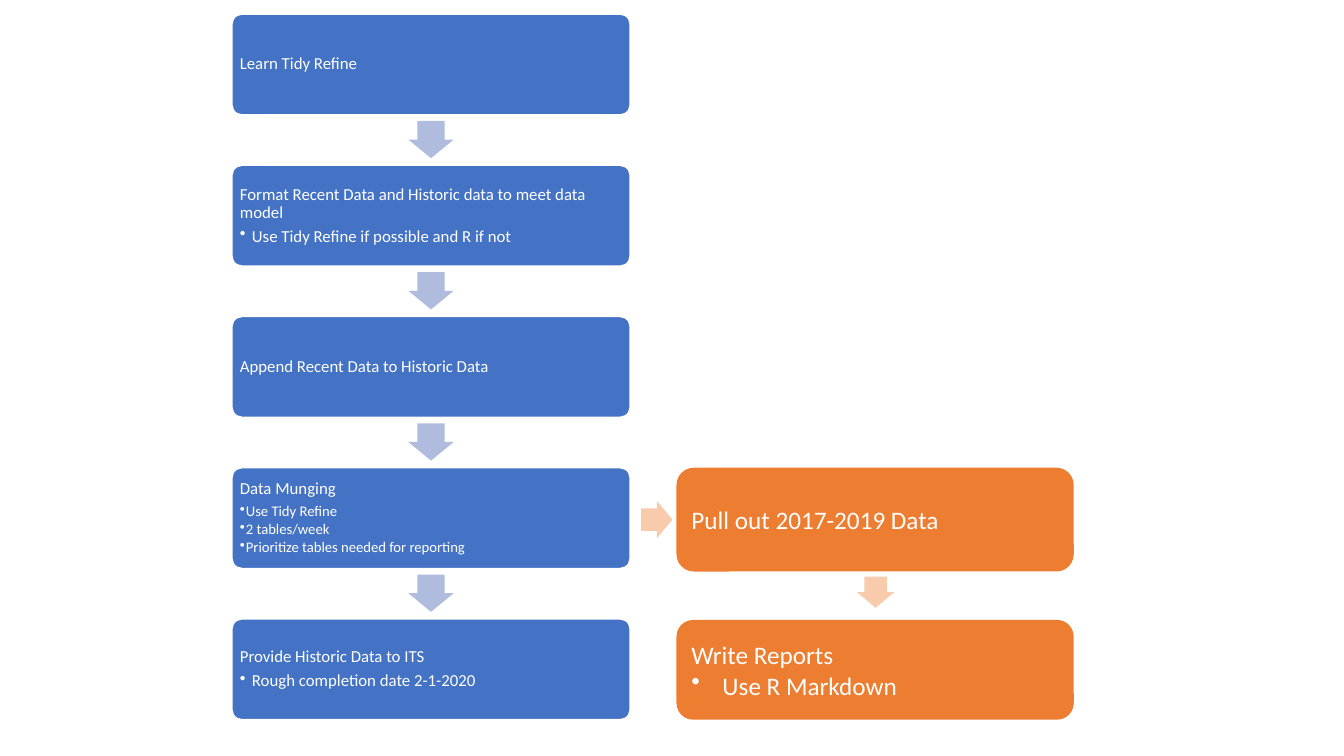
"""Builds a workflow slide with a main data track and a reporting track."""
import pptx
import pptx.dml.color
import pptx.enum.shapes
import pptx.enum.text
import pptx.oxml.ns
import pptx.util
from lxml import etree
from pptx.util import Inches

RGBColor = pptx.dml.color.RGBColor
MSO_SHAPE = pptx.enum.shapes.MSO_SHAPE
WHITE = RGBColor(0xFF, 0xFF, 0xFF)
BLUE = RGBColor(0x44, 0x72, 0xC4)
PALE_BLUE = RGBColor(0xB0, 0xBC, 0xDE)
ORANGE = RGBColor(0xED, 0x7D, 0x31)
PALE_ORANGE = RGBColor(0xF8, 0xCB, 0xAD)

STEP_PITCH = 1.5
DATA_STEPS = [
    ("Learn Tidy Refine", [], 12, 0.12),
    ("Format Recent Data and Historic data to meet data model",
     ["Use Tidy Refine if possible and R if not"], 12, 0.12),
    ("Append Recent Data to Historic Data", [], 12, 0.12),
    ("Data Munging",
     ["Use Tidy Refine", "2 tables/week", "Prioritize tables needed for reporting"],
     10.5, 0.06),
    ("Provide Historic Data to ITS", ["Rough completion date 2-1-2020"], 12, 0.12),
]
REPORT_STEPS = [
    ("Pull out 2017-2019 Data", [], 4.64, 1.03),
    ("Write Reports", ["Use R Markdown"], 6.15, 0.99),
]


def add_filled(slide, preset, left, top, width, height, color):
    """Add a flat preset shape without an outline."""
    shape = slide.shapes.add_shape(
        preset, Inches(left), Inches(top), Inches(width), Inches(height))
    shape.shadow.inherit = False
    shape.fill.solid()
    shape.fill.fore_color.rgb = color
    shape.line.fill.background()
    return shape


def add_arrow(slide, preset, left, top, width, height, color):
    """Add a block arrow whose shaft is 60 percent of its breadth."""
    arrow = add_filled(slide, preset, left, top, width, height, color)
    arrow.adjustments[0] = 0.6
    arrow.adjustments[1] = 0.5


def format_paragraph(paragraph, size):
    """Left-align a paragraph and set its font."""
    paragraph.alignment = pptx.enum.text.PP_ALIGN.LEFT
    for run in paragraph.runs:
        run.font.name = "Calibri"
        run.font.size = pptx.util.Pt(size)
        run.font.color.rgb = WHITE


def set_bullet(paragraph, indent):
    """Give a paragraph a round bullet with a hanging indent."""
    properties = paragraph._p.get_or_add_pPr()
    properties.set("marL", str(Inches(indent)))
    properties.set("indent", str(-Inches(indent)))
    bullet = etree.SubElement(properties, pptx.oxml.ns.qn("a:buChar"))
    bullet.set("char", "•")


def write_step(box, heading, details, heading_size, detail_size, indent):
    """Write a heading and its bulleted details into a step box."""
    frame = box.text_frame
    frame.word_wrap = True
    frame.vertical_anchor = pptx.enum.text.MSO_ANCHOR.MIDDLE
    frame.text = "\n".join([heading, *details])
    format_paragraph(frame.paragraphs[0], heading_size)
    for detail in frame.paragraphs[1:]:
        format_paragraph(detail, detail_size)
        set_bullet(detail, indent)


def add_data_step(slide, top, heading, details, detail_size, indent):
    """Add one compact box of the data track."""
    box = add_filled(slide, MSO_SHAPE.ROUNDED_RECTANGLE, 2.3, top, 3.95, 1, BLUE)
    box.adjustments[0] = 0.1
    box.line.color.rgb = WHITE
    box.line.width = pptx.util.Pt(1)
    frame = box.text_frame
    frame.margin_left = frame.margin_right = Inches(0.05)
    frame.margin_top = frame.margin_bottom = Inches(0.05)
    write_step(box, heading, details, 12, detail_size, indent)
    for index, paragraph in enumerate(frame.paragraphs):
        paragraph.line_spacing = 0.9
        share = 0.15 if index else 0.35
        size = detail_size if index else 12
        paragraph.space_after = pptx.util.Pt(share * size)


def main():
    """Build and save the slide."""
    deck = pptx.Presentation()
    deck.slide_width, deck.slide_height = Inches(13.33), Inches(7.5)
    slide = deck.slides.add_slide(deck.slide_layouts[6])

    for index, step in enumerate(DATA_STEPS):
        offset = index * STEP_PITCH
        add_data_step(slide, 0.14 + offset, *step)
        if index < len(DATA_STEPS) - 1:
            add_arrow(slide, MSO_SHAPE.DOWN_ARROW, 4.05, 1.2 + offset,
                      0.45, 0.37, PALE_BLUE)

    for heading, details, top, height in REPORT_STEPS:
        box = add_filled(slide, MSO_SHAPE.ROUNDED_RECTANGLE,
                         6.71, top, 3.94, height, ORANGE)
        write_step(box, heading, details, 18, 18, 0.31)
    add_arrow(slide, MSO_SHAPE.RIGHT_ARROW, 6.36, 4.97, 0.31, 0.37, PALE_ORANGE)
    add_arrow(slide, MSO_SHAPE.DOWN_ARROW, 8.5, 5.72, 0.37, 0.31, PALE_ORANGE)

    deck.save("out.pptx")


if __name__ == "__main__":
    main()
